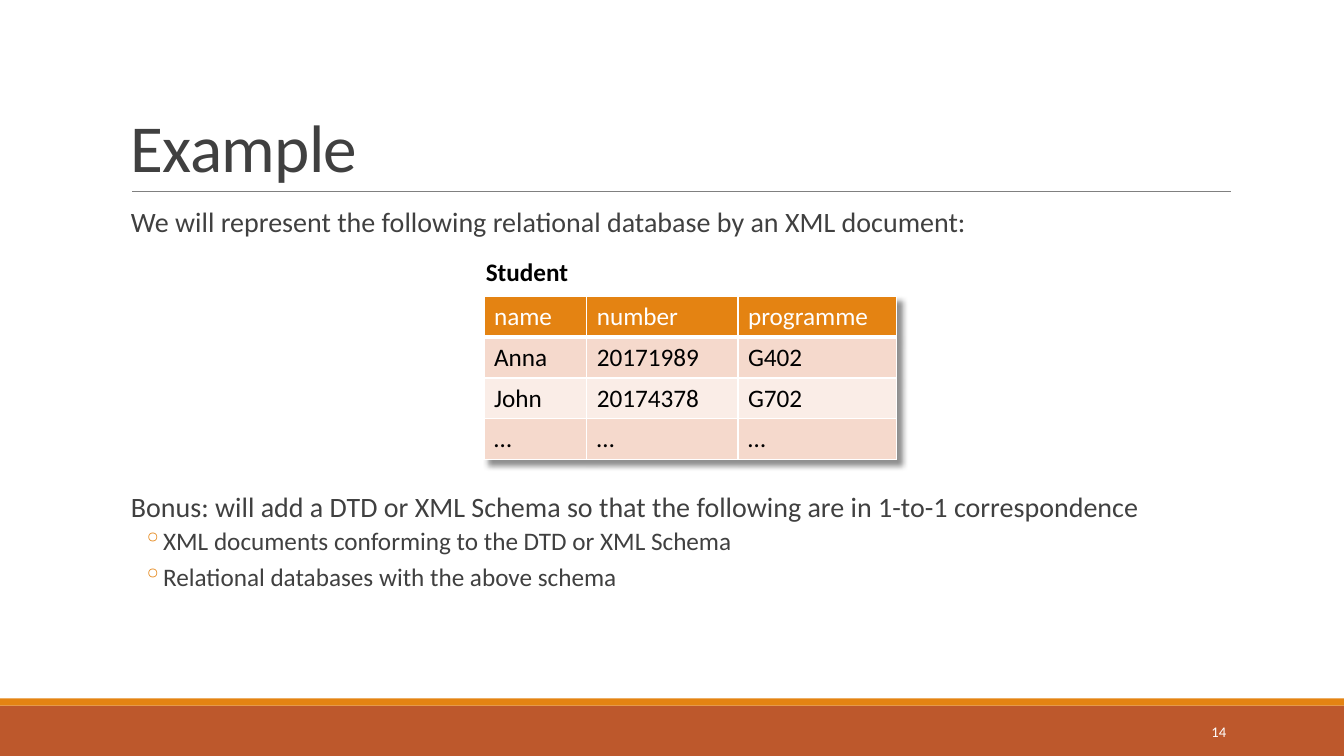
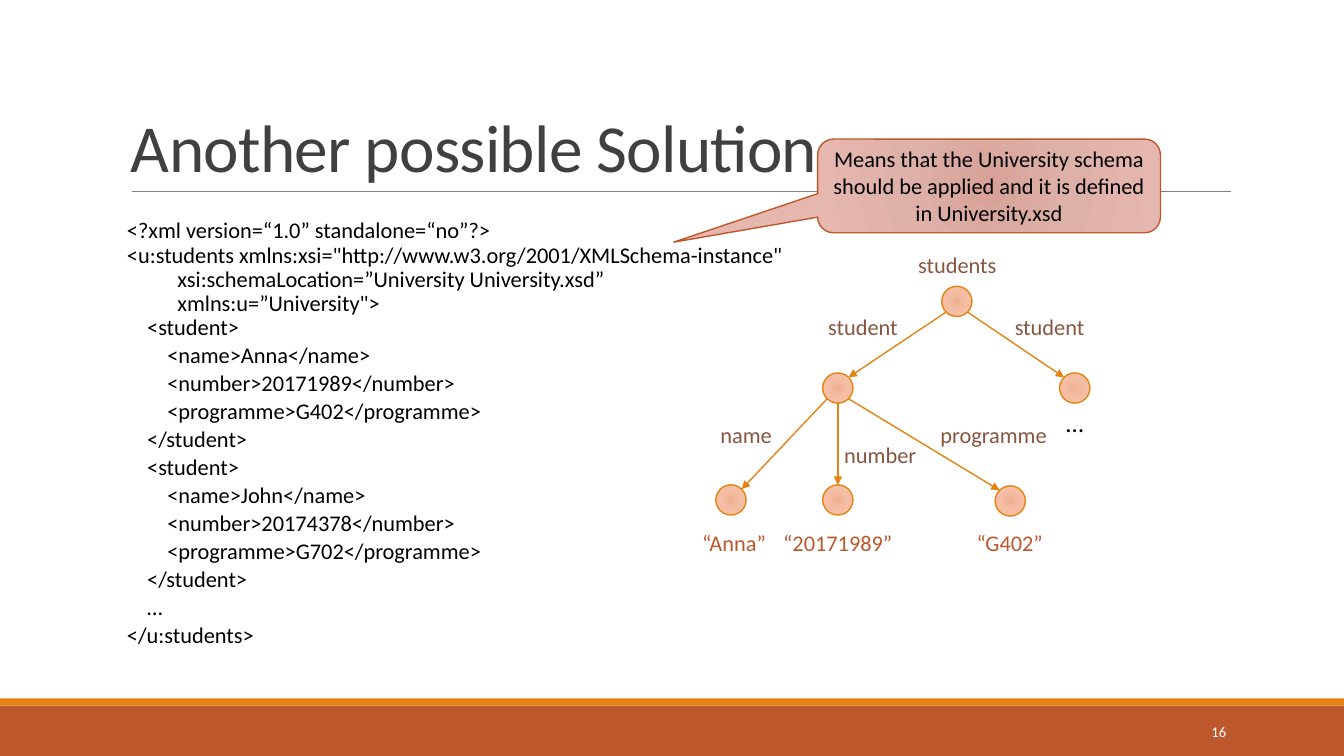
from dataclasses import dataclass
from math import sqrt
from typing import Any, NamedTuple

from lxml.etree import SubElement as Sub
from pptx import Presentation
from pptx.dml.color import RGBColor as Color
from pptx.enum.shapes import MSO_CONNECTOR as Link, MSO_SHAPE as Form
from pptx.enum.text import MSO_ANCHOR as Anchor, PP_ALIGN as Align
from pptx.oxml.ns import qn
from pptx.util import Inches, Pt


@dataclass(frozen=True)
class Theme:
    font: str = "Calibri"
    rust: str = "BD582C"
    gold: str = "E48312"
    rule: str = "808080"
    ink: str = "404040"
    black: str = "000000"
    white: str = "FFFFFF"
    brown: str = "865640"
    bands: tuple = ("F5D9CC", "FAEDE7")
    peach: tuple = ("F0B191", "F5BEA4", "FDC3A8")
    rose: tuple = ("D7A197", "DEB1A8", "E6B7AE")
    head: float = 48
    lead: float = 20
    text: float = 18
    small: float = 16
    foot: float = 10.5


T = Theme()


class Box(NamedTuple):
    left: float
    top: float
    width: float
    height: float

    def size(self) -> list:
        return [Inches(n) for n in self]


@dataclass(frozen=True)
class Line:
    text: str
    size: float = T.small
    color: str = T.black
    bold: bool = False
    align: Any = Align.LEFT
    space: float = 1
    before: float = 0
    after: float = 0
    track: int = 0
    bullet: str = ""


class Label(NamedTuple):
    text: str
    box: Box
    color: str = T.brown
    size: float = T.small
    align: Any = Align.CENTER


class Node(NamedTuple):
    x: float
    y: float


def apply(item: Any, **vals: Any) -> None:
    for key, val in vals.items():
        setattr(item, key, val)


def tag(root: Any, name: str, **vals: Any) -> Any:
    return Sub(root, qn(f"a:{name}"), {key: str(val) for key, val in vals.items()})


def write(frame: Any, lines: list[Line]) -> None:
    for num, line in enumerate(lines):
        para = frame.add_paragraph() if num else frame.paragraphs[0]
        apply(para, alignment=line.align, line_spacing=line.space,
              space_before=Pt(line.before), space_after=Pt(line.after))
        if line.bullet:
            props = para._p.get_or_add_pPr()
            props.set("marL", str(Inches(0.32)))
            props.set("indent", str(Inches(-0.2)))
            tag(tag(props, "buClr"), "srgbClr", val=T.gold)
            tag(props, "buChar", char=line.bullet)
        run = para.add_run()
        run.text = line.text
        apply(run.font, name=T.font, size=Pt(line.size), bold=line.bold)
        run.font.color.rgb = Color.from_string(line.color)
        if line.track:
            run._r.get_or_add_rPr().set("spc", str(line.track))


def add_text(slide: Any, box: Box, lines: list[Line], wrap: bool = True,
             anchor: Any = Anchor.TOP, inset: float = 0.1) -> None:
    frame = slide.shapes.add_textbox(*box.size()).text_frame
    apply(frame, word_wrap=wrap, vertical_anchor=anchor,
          margin_left=Inches(inset), margin_right=Inches(inset))
    write(frame, lines)


def add_label(slide: Any, label: Label) -> None:
    line = Line(label.text, label.size, label.color, align=label.align)
    add_text(slide, label.box, [line], wrap=False)


def add_shape(slide: Any, form: Any, box: Box, fill: str | tuple, edge: str = "") -> Any:
    shape = slide.shapes.add_shape(form, *box.size())
    shape.shadow.inherit = False
    if isinstance(fill, str):
        shape.fill.solid()
        shape.fill.fore_color.rgb = Color.from_string(fill)
    else:
        shape.fill.gradient()
        grad = shape._element.spPr.find(qn("a:gradFill"))
        for part in list(grad):
            grad.remove(part)
        stops = tag(grad, "gsLst")
        for pos, color in zip((0, 45000, 100000), fill):
            tag(tag(stops, "gs", pos=pos), "srgbClr", val=color)
        path = tag(grad, "path", path="circle")
        tag(path, "fillToRect", **dict.fromkeys("ltrb", 100000))
    if edge:
        shape.line.width = Pt(1)
        shape.line.color.rgb = Color.from_string(edge)
    else:
        shape.line.fill.background()
    return shape


def add_line(slide: Any, start: tuple, end: tuple, color: str,
             width: float, arrow: bool = False) -> None:
    ends = [Inches(n) for n in (*start, *end)]
    line = slide.shapes.add_connector(Link.STRAIGHT, *ends)
    line.line.width = Pt(width)
    line.line.color.rgb = Color.from_string(color)
    if arrow:
        tag(line.line._get_or_add_ln(), "tailEnd", type="triangle")
    tag(line._element.spPr, "effectLst")


def add_slide(deck: Any, title: str, page: int) -> Any:
    slide = deck.slides.add_slide(deck.slide_layouts[6])
    add_shape(slide, Form.RECTANGLE, Box(0, 7, 13.33, 0.5), T.rust)
    add_shape(slide, Form.RECTANGLE, Box(0, 6.93, 13.33, 0.07), T.gold)
    add_line(slide, (1.31, 1.9), (12.21, 1.9), T.rule, 0.5)
    add_text(slide, Box(1.2, 0.31, 11, 1.59),
             [Line(title, T.head, T.ink, space=0.85, track=-50)], anchor=Anchor.BOTTOM)
    add_text(slide, Box(10.83, 7.06, 1.43, 0.4),
             [Line(str(page), T.foot, T.white, align=Align.RIGHT)], anchor=Anchor.MIDDLE)
    return slide


def add_grid(slide: Any, box: Box, widths: list[float], rows: list[tuple]) -> None:
    grid = slide.shapes.add_table(len(rows), len(widths), *box.size()).table
    for col, width in zip(grid.columns, widths):
        col.width = Inches(width)
    for r, row in enumerate(rows):
        fill = T.bands[(r - 1) % 2] if r else T.gold
        for c, word in enumerate(row):
            cell = grid.cell(r, c)
            write(cell.text_frame, [Line(word, T.text, T.black if r else T.white)])
            props = cell._tc.get_or_add_tcPr()
            for side in "LRTB":
                edge = tag(props, f"ln{side}", w=Pt(3 if side == "B" and not r else 1))
                tag(tag(edge, "solidFill"), "srgbClr", val=T.white)
            cell.fill.solid()
            cell.fill.fore_color.rgb = Color.from_string(fill)
    props = grid._tbl.tblPr
    glow = tag(props, "effectLst")
    cast = tag(glow, "outerShdw", blurRad=Pt(4), dist=Pt(5), dir=2700000,
               algn="tl", rotWithShape=0)
    tag(tag(cast, "srgbClr", val=T.black), "alpha", val=43000)
    props.insert(0, glow)


def add_tree(slide: Any, nodes: dict[str, Node], edges: list[tuple], size: float) -> None:
    half = size / 2
    for node in nodes.values():
        box = Box(node.x - half, node.y - half, size, size)
        add_shape(slide, Form.OVAL, box, T.peach, T.gold)
    for start, end in edges:
        a, b = nodes[start], nodes[end]
        side = (b.x > a.x) - (b.x < a.x)
        drop = half * sqrt(0.5) if side else half
        shift = side * drop
        add_line(slide, (a.x + shift, a.y + drop), (b.x - shift, b.y - drop),
                 T.gold, 1, arrow=True)


ROWS = [("name", "number", "programme"), ("Anna", "20171989", "G402"),
        ("John", "20174378", "G702"), ("…", "…", "…")]

CODE = """<?xml version=“1.0” standalone=“no”?>
<u:students xmlns:xsi="http://www.w3.org/2001/XMLSchema-instance"
\txsi:schemaLocation=”University University.xsd”
\txmlns:u=”University">
    <student>
        <name>Anna</name>
        <number>20171989</number>
        <programme>G402</programme>
    </student>
    <student>
        <name>John</name>
        <number>20174378</number>
        <programme>G702</programme>
    </student>
    …
</u:students>"""

NODES = {"root": Node(9.49, 2.99), "first": Node(8.31, 3.85), "next": Node(10.66, 3.85),
         "name": Node(7.25, 4.96), "number": Node(8.31, 4.96), "course": Node(10.02, 4.97)}

EDGES = [("root", "first"), ("root", "next"), ("first", "name"),
         ("first", "number"), ("first", "course")]

LABELS = [
    Label("students", Box(9, 2.44, 0.99, 0.37)),
    Label("student", Box(8.11, 3.06, 0.9, 0.37)),
    Label("student", Box(9.96, 3.06, 0.9, 0.37)),
    Label("name", Box(7.04, 4.13, 0.72, 0.37)),
    Label("number", Box(8.27, 4.33, 0.92, 0.37)),
    Label("programme", Box(9.22, 4.13, 1.27, 0.37)),
    Label("“Anna”", Box(6.86, 5.2, 0.84, 0.37), T.rust),
    Label("“20171989”", Box(7.66, 5.2, 1.3, 0.37), T.rust),
    Label("“G402”", Box(9.58, 5.2, 0.87, 0.37), T.rust),
    Label("…", Box(10.47, 3.99, 0.38, 0.4), T.black, T.text),
]


def draw_table(deck: Any) -> None:
    slide = add_slide(deck, "Example", 14)
    lead = dict(size=T.lead, color=T.ink, space=0.9, after=2)
    item = dict(size=T.text, color=T.ink, space=0.9, before=2, after=4, bullet="◦")
    add_text(slide, Box(1.2, 2.02, 11, 0.42), [
        Line("We will represent the following relational database by an XML document:", **lead)])
    add_text(slide, Box(1.2, 4.84, 11, 1.3), [
        Line("Bonus: will add a DTD or XML Schema so that the following are in "
             "1-to-1 correspondence", **lead),
        Line("XML documents conforming to the DTD or XML Schema", **item),
        Line("Relational databases with the above schema", **item)])
    add_grid(slide, Box(4.8, 2.94, 4.09, 1.62), [1.02, 1.5, 1.57], ROWS)
    add_text(slide, Box(4.72, 2.49, 1.03, 0.4),
             [Line("Student", T.text, bold=True)], wrap=False)


def draw_code(deck: Any) -> None:
    slide = add_slide(deck, "Another possible Solution", 16)
    lines = [Line(text, space=0.9, before=0.7 if num > 4 else 0, after=2 if num > 3 else 0)
             for num, text in enumerate(CODE.splitlines())]
    add_text(slide, Box(1.26, 2.13, 9, 4.4), lines, inset=0)
    add_tree(slide, NODES, EDGES, 0.3)
    for label in LABELS:
        add_label(slide, label)
    note = add_shape(slide, Form.ROUNDED_RECTANGULAR_CALLOUT,
                     Box(8.11, 1.38, 3.4, 0.93), T.rose, T.rust)
    for num, val in enumerate((-0.92, 0.6, 0.17)):
        note.adjustments[num] = val
    apply(note.text_frame, word_wrap=True, vertical_anchor=Anchor.MIDDLE)
    write(note.text_frame, [
        Line("Means that the University schema should be applied and it is defined "
             "in University.xsd", align=Align.CENTER)])


def main() -> None:
    deck = Presentation()
    apply(deck, slide_width=Inches(13.33), slide_height=Inches(7.5))
    draw_table(deck)
    draw_code(deck)
    deck.save("out.pptx")


if __name__ == "__main__":
    main()
